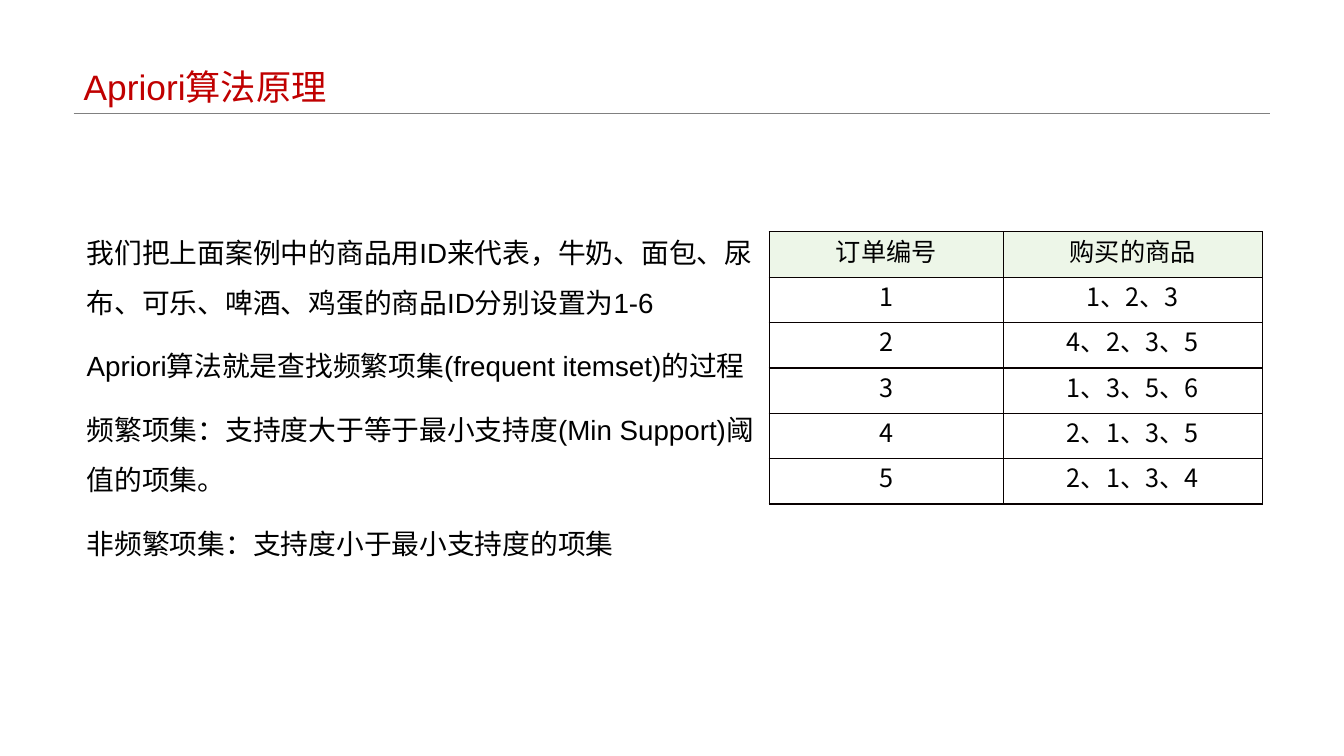
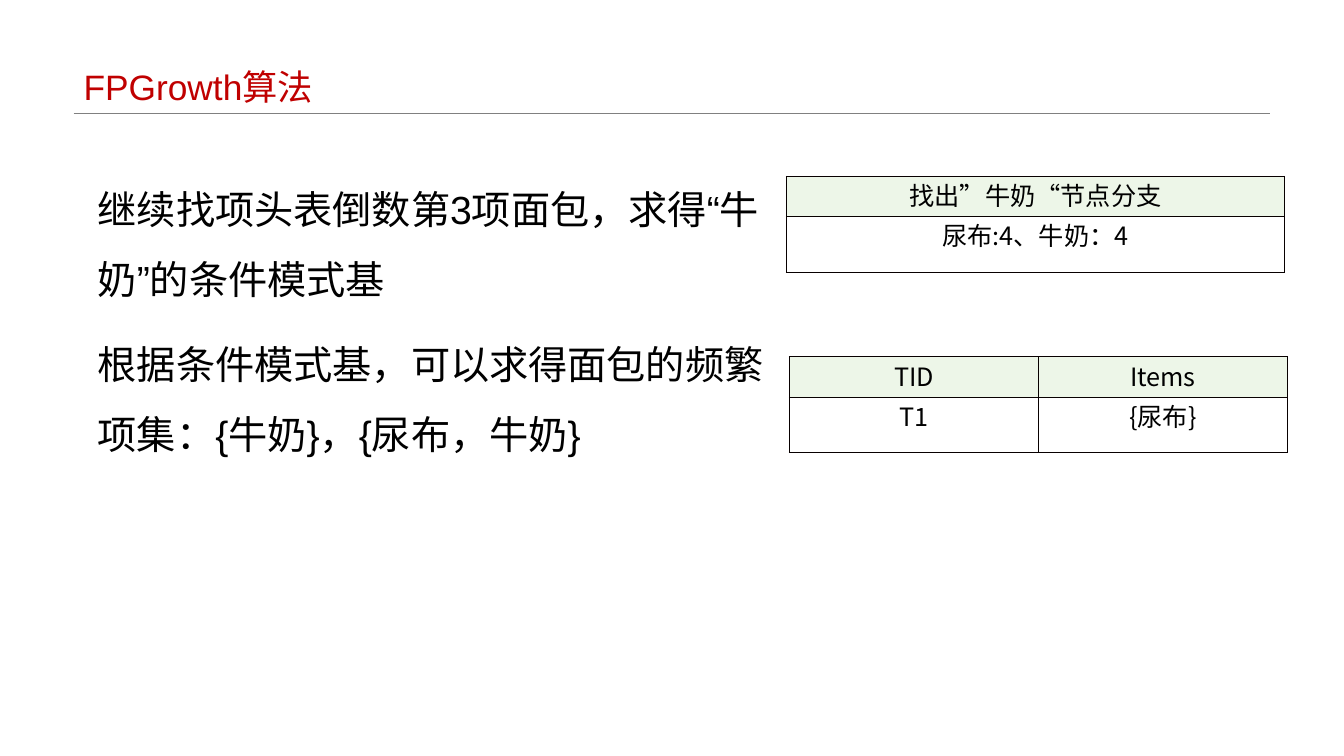
from dataclasses import dataclass

from lxml.etree import SubElement
from pptx import Presentation
from pptx.dml.color import RGBColor
from pptx.enum.shapes import MSO_CONNECTOR
from pptx.enum.text import MSO_ANCHOR, MSO_AUTO_SIZE, PP_ALIGN
from pptx.oxml.ns import qn
from pptx.util import Inches, Pt

SLIDE_WIDTH, SLIDE_HEIGHT = 13.33, 7.5
MARGIN_LEFT, MARGIN_RIGHT, TITLE_BOTTOM = 0.73, 12.6, 1.12
COLORS = {
    "title": "C00000",
    "text": "000000",
    "rule": "808080",
    "border": "080000",
    "header": "EDF6E8",
}
TEXT_FONT, TABLE_FONT = "Arial", "Noto Sans CJK SC"


@dataclass(frozen=True)
class Box:
    left: float
    top: float
    width: float
    height: float

    def lengths(self) -> tuple:
        return tuple(Inches(n) for n in (self.left, self.top, self.width, self.height))


@dataclass(frozen=True)
class Grid:
    left: float
    top: float
    columns: tuple[float, ...]
    row_heights: tuple[float, ...]
    rows: tuple[tuple[str, ...], ...]


@dataclass(frozen=True)
class Page:
    title: str
    body: tuple[str, ...]
    body_box: Box
    body_size: float
    grids: tuple[Grid, ...]


PAGES = (
    Page(
        "Apriori算法原理",
        (
            "我们把上面案例中的商品用ID来代表，牛奶、面包、尿布、可乐、啤酒、鸡蛋的商品ID分别设置为1-6",
            "Apriori算法就是查找频繁项集(frequent itemset)的过程",
            "频繁项集：支持度大于等于最小支持度(Min Support)阈值的项集。",
            "非频繁项集：支持度小于最小支持度的项集",
        ),
        Box(0.81, 2.12, 6.82, 3.84),
        19.8,
        (
            Grid(
                7.63, 2.3, (2.32, 2.57), (0.45,) * 6,
                (
                    ("订单编号", "购买的商品"),
                    ("1", "1、2、3"),
                    ("2", "4、2、3、5"),
                    ("3", "1、3、5、6"),
                    ("4", "2、1、3、5"),
                    ("5", "2、1、3、4"),
                ),
            ),
        ),
    ),
    Page(
        "FPGrowth算法",
        (
            "继续找项头表倒数第3项面包，求得“牛奶”的条件模式基",
            "根据条件模式基，可以求得面包的频繁项集：{牛奶}，{尿布，牛奶}",
        ),
        Box(0.92, 1.55, 6.96, 5.47),
        28,
        (
            Grid(7.8, 1.75, (4.94,), (0.4, 0.55),
                 (("找出”牛奶“节点分支",), ("尿布:4、牛奶：4",))),
            Grid(7.83, 3.54, (2.47, 2.47), (0.4, 0.55),
                 (("TID", "Items"), ("T1", "{尿布}"))),
        ),
    ),
)


def rgb(name: str) -> RGBColor:
    return RGBColor.from_string(COLORS[name])


def style_paragraph(paragraph, font_name: str, size: float, color: str) -> None:
    """Set one font for Latin and East Asian text alike."""
    paragraph.font.name = font_name
    paragraph.font.size = Pt(size)
    paragraph.font.color.rgb = rgb(color)
    for run in paragraph.runs:
        SubElement(run._r.get_or_add_rPr(), qn("a:ea"), typeface=font_name)


def place(shape, box: Box) -> None:
    shape.left, shape.top, shape.width, shape.height = box.lengths()


def add_title(slide, text: str) -> None:
    title = slide.shapes.title
    place(title, Box(MARGIN_LEFT, 0, MARGIN_RIGHT - MARGIN_LEFT, TITLE_BOTTOM))
    frame = title.text_frame
    frame.text = text
    frame.auto_size = MSO_AUTO_SIZE.NONE
    frame.vertical_anchor = MSO_ANCHOR.BOTTOM
    paragraph = frame.paragraphs[0]
    paragraph.alignment = PP_ALIGN.LEFT
    paragraph.line_spacing = 0.9
    style_paragraph(paragraph, TEXT_FONT, 25.2, "title")

    rule = slide.shapes.add_connector(
        MSO_CONNECTOR.STRAIGHT,
        Inches(MARGIN_LEFT), Inches(TITLE_BOTTOM),
        Inches(MARGIN_RIGHT), Inches(TITLE_BOTTOM),
    )
    rule.line.color.rgb = rgb("rule")
    rule.line.width = Pt(0.25)
    SubElement(rule._element.spPr, qn("a:effectLst"))


def add_body(slide, page: Page) -> None:
    body = slide.placeholders[1]
    place(body, page.body_box)
    frame = body.text_frame
    frame.text = "\n".join(page.body)
    frame.word_wrap = True
    frame.auto_size = MSO_AUTO_SIZE.NONE
    frame.margin_left = frame.margin_right = Inches(0.05)
    frame.margin_top = frame.margin_bottom = Inches(0.05)
    for index, paragraph in enumerate(frame.paragraphs):
        properties = paragraph._p.get_or_add_pPr()
        properties.set("marL", "0")
        properties.set("indent", "0")
        SubElement(properties, qn("a:buNone"))
        paragraph.line_spacing = 1.5
        paragraph.space_before = Pt(10 if index else 0)
        style_paragraph(paragraph, TEXT_FONT, page.body_size, "text")


def add_borders(cell) -> None:
    properties = cell._tc.get_or_add_tcPr()
    for side in ("lnL", "lnR", "lnT", "lnB"):
        line = SubElement(properties, qn(f"a:{side}"), w=str(Pt(1)))
        fill = SubElement(line, qn("a:solidFill"))
        SubElement(fill, qn("a:srgbClr"), val=COLORS["border"])


def add_grid(slide, grid: Grid) -> None:
    box = Box(grid.left, grid.top, sum(grid.columns), sum(grid.row_heights))
    table = slide.shapes.add_table(
        len(grid.rows), len(grid.columns), *box.lengths()
    ).table
    table.first_row = table.horz_banding = False
    for column, width in zip(table.columns, grid.columns):
        column.width = Inches(width)
    for row_index, (row, height) in enumerate(zip(table.rows, grid.row_heights)):
        row.height = Inches(height)
        for cell, text in zip(row.cells, grid.rows[row_index]):
            cell.text = text
            cell.margin_left = cell.margin_right = Inches(0.01)
            cell.margin_top = cell.margin_bottom = 0
            add_borders(cell)
            if row_index == 0:
                cell.fill.solid()
                cell.fill.fore_color.rgb = rgb("header")
            else:
                cell.fill.background()
            paragraph = cell.text_frame.paragraphs[0]
            paragraph.alignment = PP_ALIGN.CENTER
            style_paragraph(paragraph, TABLE_FONT, 18, "text")


def main() -> None:
    presentation = Presentation()
    presentation.slide_width = Inches(SLIDE_WIDTH)
    presentation.slide_height = Inches(SLIDE_HEIGHT)
    layout = presentation.slide_layouts.get_by_name("Title and Content")
    for page in PAGES:
        slide = presentation.slides.add_slide(layout)
        add_title(slide, page.title)
        add_body(slide, page)
        for grid in page.grids:
            add_grid(slide, grid)
    presentation.save("out.pptx")


if __name__ == "__main__":
    main()
